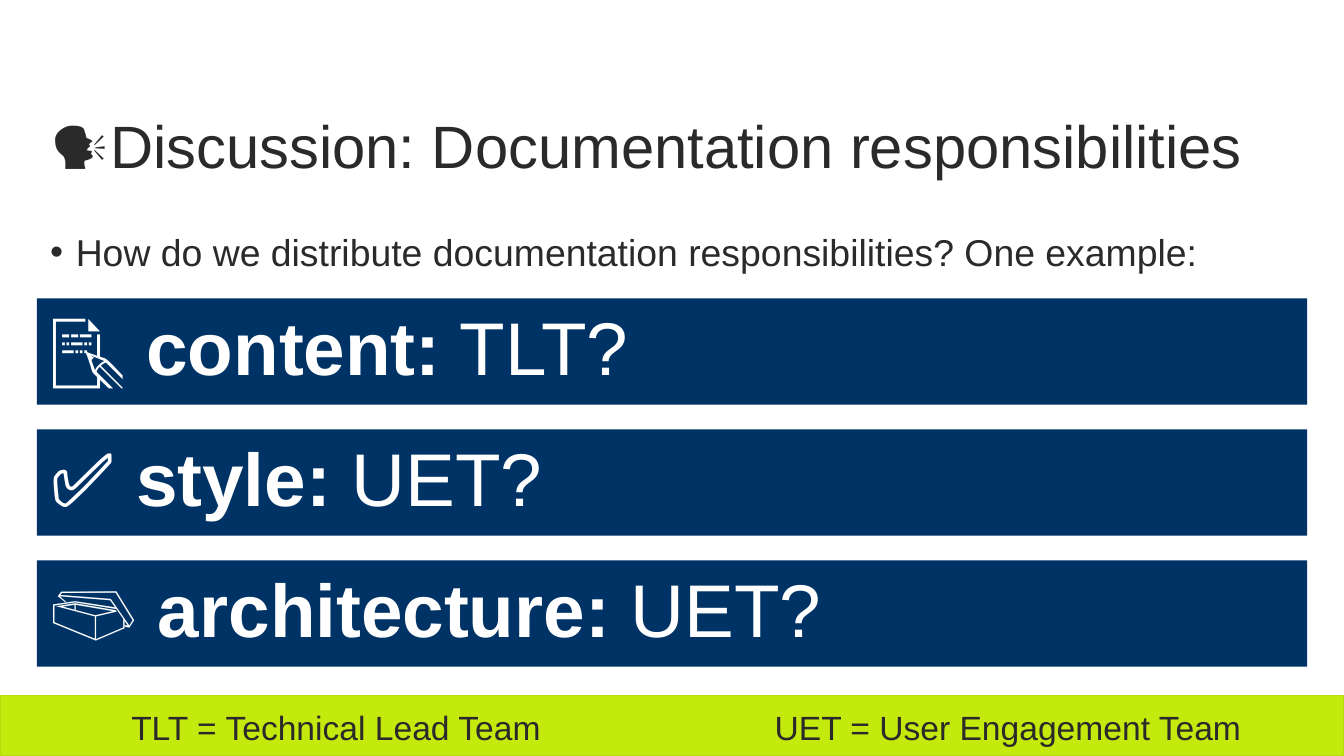
import pptx
import pptx.dml.color
import pptx.enum.shapes
import pptx.enum.text
import pptx.oxml.ns
import pptx.util
from lxml import etree

Inches = pptx.util.Inches
Pt = pptx.util.Pt
RGBColor = pptx.dml.color.RGBColor
ALIGN = pptx.enum.text.PP_ALIGN
ANCHOR = pptx.enum.text.MSO_ANCHOR
AUTO_SIZE = pptx.enum.text.MSO_AUTO_SIZE

INK = RGBColor(0x2A, 0x2A, 0x2A)
WHITE = RGBColor(0xFF, 0xFF, 0xFF)
NAVY = RGBColor(0x00, 0x33, 0x65)
LIME = RGBColor(0xC4, 0xE9, 0x0C)
LIME_EDGE = RGBColor(0xB9, 0xDC, 0x0C)

SLIDE_W = 10
SLIDE_H = SLIDE_W * 9 / 16
WIDTH = 9.45
LEFT = (SLIDE_W - WIDTH) / 2
FOOTER_H = 0.45
BAR_TOP, BAR_BOTTOM, BAR_H = 2.22, 4.96, 0.79
ROLES = [
    [("📝 ", False), ("content:", True), (" TLT?", False)],
    [("✅ style:", True), (" UET?", False)],
    [("🗃️ architecture:", True), (" UET?", False)],
]
TEAMS = ["TLT = Technical Lead Team", "UET = User Engagement Team"]


def write(sp, runs, *, size, color=INK, align=ALIGN.LEFT, anchor=ANCHOR.TOP,
          line_spacing=1.0, before=0, auto_size=AUTO_SIZE.NONE):
    """Fill a shape with one paragraph of (text, bold) runs and return it."""
    tf = sp.text_frame
    tf.word_wrap = True
    tf.auto_size = auto_size
    tf.vertical_anchor = anchor
    p = tf.paragraphs[0]
    p.alignment = align
    p.line_spacing = line_spacing
    p.space_before = Pt(before)
    for text, bold in runs:
        r = p.add_run()
        r.text = text
        r.font.name = "Arial"
        r.font.size = Pt(size)
        r.font.bold = bold
        r.font.color.rgb = color
    return p


def add_text(s, text, left, top, width, height, **fmt):
    """Add a text box and return its paragraph."""
    sp = s.shapes.add_textbox(Inches(left), Inches(top), Inches(width), Inches(height))
    return write(sp, [(text, False)], **fmt)


def add_bar(s, left, top, width, height, fill, edge=None):
    """Add a flat rectangle, outlined only when an edge colour is given."""
    sp = s.shapes.add_shape(pptx.enum.shapes.MSO_SHAPE.RECTANGLE, Inches(left),
                            Inches(top), Inches(width), Inches(height))
    sp.shadow.inherit = False
    sp.fill.solid()
    sp.fill.fore_color.rgb = fill
    if edge is None:
        sp.line.fill.background()
    else:
        sp.line.color.rgb = edge
        sp.line.width = Pt(1)
    return sp


def add_bullet(p, indent):
    """Give a paragraph a hanging round bullet."""
    pPr = p._p.get_or_add_pPr()
    pPr.set("marL", str(Inches(indent)))
    pPr.set("indent", str(-Inches(indent)))
    etree.SubElement(pPr, pptx.oxml.ns.qn("a:buFont"), typeface="Arial")
    etree.SubElement(pPr, pptx.oxml.ns.qn("a:buChar"), char="•")


def main():
    """Build the discussion slide."""
    prs = pptx.Presentation()
    prs.slide_width, prs.slide_height = Inches(SLIDE_W), Inches(SLIDE_H)
    s = prs.slides.add_slide(prs.slide_layouts[6])

    add_bar(s, 0, SLIDE_H - FOOTER_H, SLIDE_W, FOOTER_H, LIME, LIME_EDGE)
    p = add_text(s, "How do we distribute documentation responsibilities? One example:",
                 LEFT, 1.69, WIDTH, 3.35, size=20, line_spacing=0.9, before=7.5)
    add_bullet(p, 0.19)
    add_text(s, "🗣️Discussion: Documentation responsibilities", LEFT, 0.77, WIDTH, 0.63,
             size=32, anchor=ANCHOR.BOTTOM, line_spacing=0.9)

    pitch = (BAR_BOTTOM - BAR_H - BAR_TOP) / (len(ROLES) - 1)
    for i, runs in enumerate(ROLES):
        sp = add_bar(s, LEFT, BAR_TOP + i * pitch, WIDTH, BAR_H, NAVY)
        write(sp, runs, size=40, color=WHITE, anchor=ANCHOR.MIDDLE,
              line_spacing=0.9, before=7.5)

    half = SLIDE_W / len(TEAMS)
    for i, team in enumerate(TEAMS):
        add_text(s, team, i * half, 5.21, half, 0.4, size=18, align=ALIGN.CENTER,
                 auto_size=AUTO_SIZE.SHAPE_TO_FIT_TEXT)

    prs.save("out.pptx")


if __name__ == "__main__":
    main()
